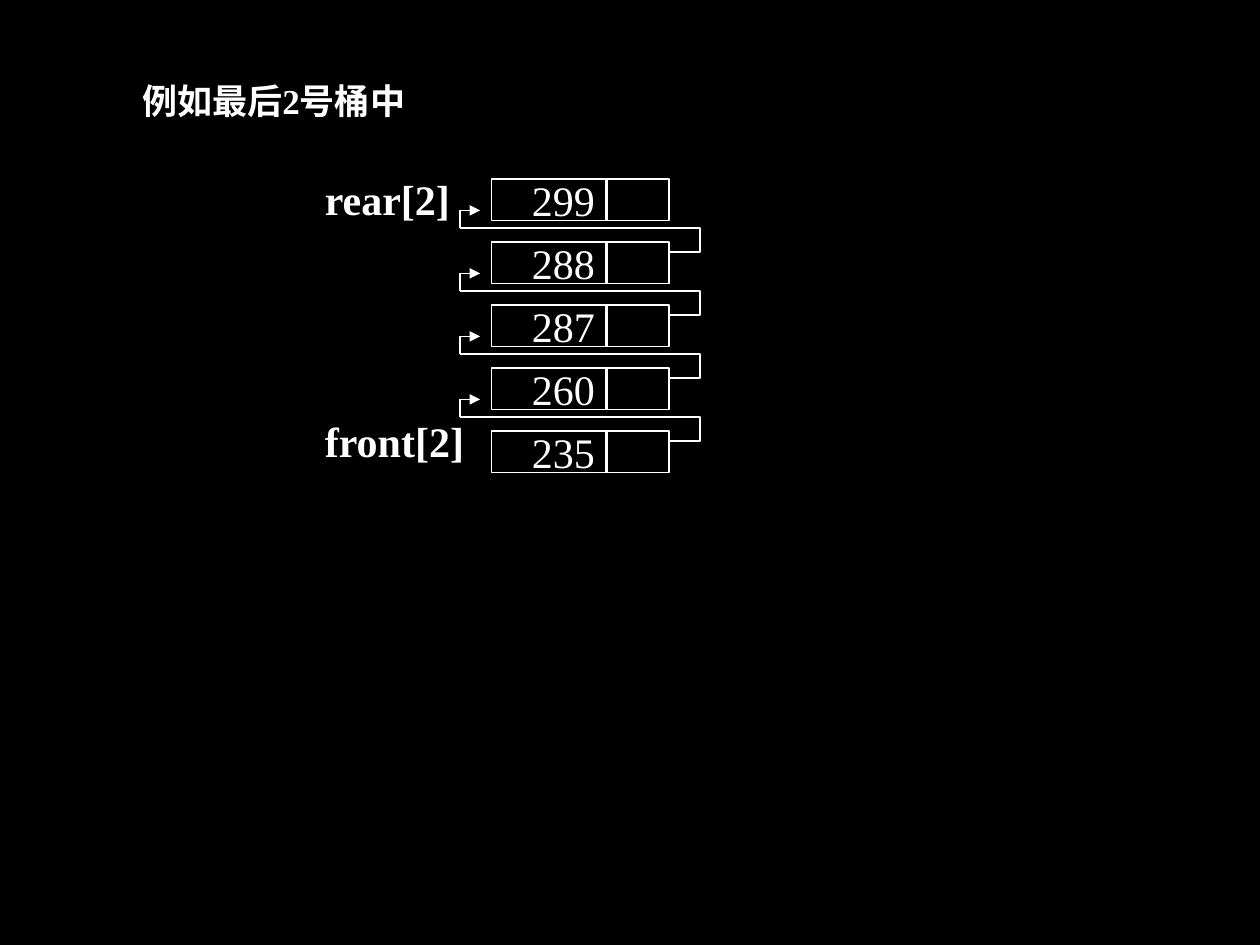
from pptx import Presentation
from pptx.dml.color import RGBColor
from pptx.enum.shapes import MSO_CONNECTOR, MSO_SHAPE
from pptx.enum.text import MSO_ANCHOR, MSO_AUTO_SIZE, PP_ALIGN
from pptx.oxml.ns import qn
from pptx.util import Inches, Pt
from lxml import etree

BLACK = RGBColor(0x00, 0x00, 0x00)
WHITE = RGBColor(0xFF, 0xFF, 0xFF)
FONT = "Times New Roman"
STRAIGHT, ELBOW = MSO_CONNECTOR.STRAIGHT, MSO_CONNECTOR.ELBOW
RECT = MSO_SHAPE.RECTANGLE
MIDDLE, RIGHT = MSO_ANCHOR.MIDDLE, PP_ALIGN.RIGHT
FIT_SHAPE = MSO_AUTO_SIZE.SHAPE_TO_FIT_TEXT

# Queue layout, in inches
KEYS = ["299", "288", "287", "260", "235"]
TOP, PITCH, CELL_H = 1.42, 0.5, 0.33
KEY_X, KEY_W = 3.9, 0.92
LINK_X, LINK_W = 4.81, 0.5
TURN_X, ARROW_X = 3.65, 3.81


def set_text(tf, text, size, bold=False):
    tf.word_wrap = False
    p = tf.paragraphs[0]
    p.text = text
    p.font.name = FONT
    p.font.size = Pt(size)
    p.font.bold = bold
    p.font.color.rgb = WHITE
    return p


def add_label(slide, x, y, w, h, text, size):
    tf = slide.shapes.add_textbox(Inches(x), Inches(y), Inches(w), Inches(h)).text_frame
    set_text(tf, text, size, bold=True)
    tf.auto_size = FIT_SHAPE


def add_cell(slide, x, y, w, text=None):
    sp = slide.shapes.add_shape(RECT, Inches(x), Inches(y), Inches(w), Inches(CELL_H))
    sp.shadow.inherit = False
    sp.fill.background()
    sp.line.color.rgb = WHITE
    sp.line.width = Pt(1)
    if text:
        tf = sp.text_frame
        tf.vertical_anchor = MIDDLE
        set_text(tf, text, 24).alignment = RIGHT


def add_line(slide, start, end, kind=STRAIGHT, adjust=None, arrow=False):
    cx = slide.shapes.add_connector(kind, *map(Inches, start + end))
    cx.line.color.rgb = WHITE
    cx.line.width = Pt(1)
    sp_pr = cx._element.spPr
    etree.SubElement(sp_pr, qn("a:effectLst"))
    if adjust is not None:
        guides = sp_pr.find(qn("a:prstGeom")).get_or_add_avLst()
        etree.SubElement(guides, qn("a:gd"), name="adj1", fmla=f"val {adjust}")
    if arrow:
        etree.SubElement(sp_pr.find(qn("a:ln")), qn("a:tailEnd"), type="triangle")


def add_link(slide, y):
    """Link from the node whose top is y back to the node above it."""
    turn_y, arrow_y = y - 0.11, y - 0.25
    add_line(slide, (LINK_X + LINK_W, y + 0.08), (TURN_X, turn_y), ELBOW, adjust=-15000)
    add_line(slide, (TURN_X, turn_y), (TURN_X, arrow_y))
    add_line(slide, (TURN_X, arrow_y), (ARROW_X, arrow_y), arrow=True)


def main():
    prs = Presentation()
    prs.slide_width, prs.slide_height = Inches(10), Inches(7.5)
    slide = prs.slides.add_slide(prs.slide_layouts[6])
    slide.background.fill.solid()
    slide.background.fill.fore_color.rgb = BLACK

    # Heading
    add_label(slide, 1.03, 0.58, 2.42, 0.44, "例如最后2号桶中", 20)

    # Queue nodes and their links
    for i, key in enumerate(KEYS):
        y = TOP + i * PITCH
        add_cell(slide, KEY_X, y, KEY_W, key)
        add_cell(slide, LINK_X, y, LINK_W)
        if i:
            add_link(slide, y)

    # Queue pointers
    add_label(slide, 2.48, 1.33, 1.2, 0.5, "rear[2]", 24)
    add_label(slide, 2.48, 3.25, 1.31, 0.5, "front[2]", 24)

    prs.save("out.pptx")


if __name__ == "__main__":
    main()
